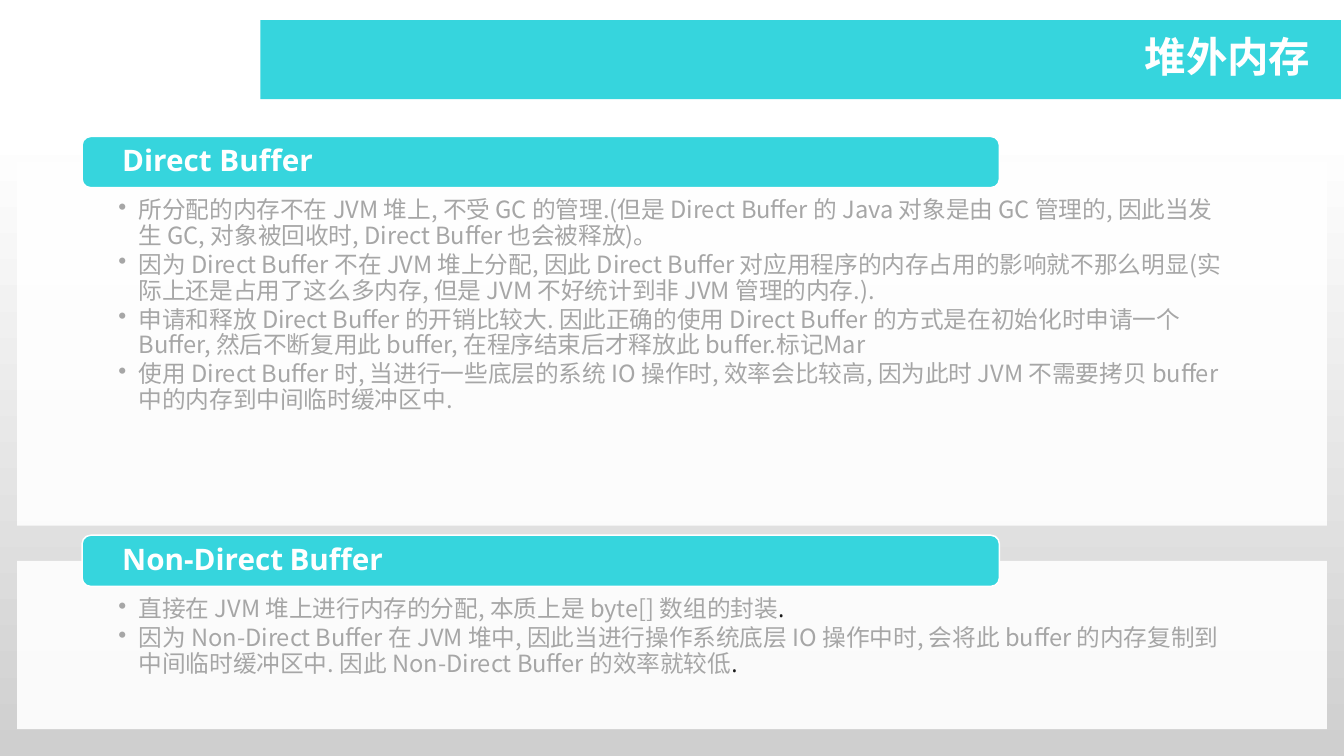
from dataclasses import dataclass

from lxml import etree
from pptx import Presentation, util as u
from pptx.dml.color import RGBColor
from pptx.enum import shapes, text
from pptx.oxml import ns

WHITE = RGBColor(0xFF, 0xFF, 0xFF)
CYAN = RGBColor(0x36, 0xD5, 0xDD)
GREY = RGBColor(0xA6, 0xA6, 0xA6)
DARK = RGBColor(0x1A, 0x1A, 0x1A)
SHADE = RGBColor(0xCF, 0xCF, 0xCF)
SANS, HAN = "Open Sans", "Noto Sans CJK SC"
WIDE, HIGH = u.Inches(12.6), u.Inches(7.09)

HEAD = dict(name=SANS, size=u.Pt(20), bold=True, color=WHITE)
GAP = HEAD | dict(size=u.Pt(16))
BODY = dict(name=HAN, size=u.Pt(16), bold=False, color=GREY)
STOP = BODY | dict(name=SANS, color=DARK)
TITLE = dict(name=HAN, size=u.Pt(28), bold=True, color=WHITE)

Run = tuple[str, dict]


@dataclass
class Box:
    """A place on the slide, in percent of its width and height."""
    left: float
    top: float
    width: float
    height: float

    def frame(self) -> dict:
        return dict(left=across(self.left), top=down(self.top),
                    width=across(self.width), height=down(self.height))


@dataclass
class Part:
    top: float
    height: float
    head: list[Run]
    items: list[list[Run]]


PARTS = [
    Part(21.44, 48.1, [("Direct Buffer", HEAD)], [
        [("所分配的内存不在 JVM 堆上, 不受 GC 的管理.(但是 Direct Buffer 的 Java 对象是由 GC 管理的, "
          "因此当发生 GC, 对象被回收时, Direct Buffer 也会被释放)。", BODY)],
        [("因为 Direct Buffer 不在 JVM 堆上分配, 因此 Direct Buffer 对应用程序的内存占用的影响就不那么明显"
          "(实际上还是占用了这么多内存, 但是 JVM 不好统计到非 JVM 管理的内存.).", BODY)],
        [("申请和释放 Direct Buffer 的开销比较大. 因此正确的使用 Direct Buffer 的方式是在初始化时申请一个 Buffer, "
          "然后不断复用此 buffer, 在程序结束后才释放此 buffer.标记Mar", BODY)],
        [("使用 Direct Buffer 时, 当进行一些底层的系统 IO 操作时, 效率会比较高, 因为此时 JVM 不需要拷贝 buffer "
          "中的内存到中间临时缓冲区中.", BODY)],
    ]),
    Part(74.19, 22.28, [("Non-Direct", HEAD), (" ", GAP), ("Buffer", HEAD)], [
        [("直接在 JVM 堆上进行内存的分配, 本质上是 byte[] 数组的封装", BODY), (".", STOP)],
        [("因为 Non-Direct Buffer 在 JVM 堆中, 因此当进行操作系统底层 IO 操作中时, 会将此 buffer "
          "的内存复制到中间临时缓冲区中. 因此 Non-Direct Buffer 的效率就较低", BODY), (".", STOP)],
    ]),
]


def across(share: float) -> int:
    return round(WIDE * share / 100)


def down(share: float) -> int:
    return round(HIGH * share / 100)


def apply(item, looks: dict) -> None:
    for key, value in looks.items():
        setattr(item, key, value)


def write(para, runs: list[Run]) -> None:
    para.alignment = text.PP_ALIGN.LEFT
    for words, looks in runs:
        run = para.add_run()
        run.text = words
        for key, value in looks.items():
            if key == "color":
                run.font.color.rgb = value
            else:
                setattr(run.font, key, value)
        face = etree.SubElement(run.font._element, ns.qn("a:ea"))
        face.set("typeface", looks["name"])


def bullet(para) -> None:
    props = para._p.get_or_add_pPr()
    props.set("marL", str(u.Inches(0.19)))
    props.set("indent", str(-u.Inches(0.19)))
    etree.SubElement(props, ns.qn("a:buChar")).set("char", "•")


def block(slide, kind, box: Box, fill: RGBColor):
    shape = slide.shapes.add_shape(kind, **box.frame())
    shape.shadow.inherit = False
    shape.fill.solid()
    shape.fill.fore_color.rgb = fill
    shape.line.fill.background()
    return shape


def panel(slide, part: Part) -> None:
    shape = block(slide, shapes.MSO_SHAPE.RECTANGLE,
                  Box(1.27, part.top, 97.46, part.height), WHITE)
    tint = shape.element.find(".//" + ns.qn("a:srgbClr"))
    etree.SubElement(tint, ns.qn("a:alpha")).set("val", "90000")
    frame = shape.text_frame
    apply(frame, dict(word_wrap=True, vertical_anchor=text.MSO_ANCHOR.TOP,
                      margin_left=across(7.54), margin_right=across(7.54),
                      margin_top=down(4.8), margin_bottom=down(1.7)))
    for index, runs in enumerate(part.items):
        para = frame.add_paragraph() if index else frame.paragraphs[0]
        apply(para, dict(line_spacing=0.9, space_after=u.Pt(2.4)))
        bullet(para)
        write(para, runs)


def tab(slide, part: Part) -> None:
    shape = block(slide, shapes.MSO_SHAPE.ROUNDED_RECTANGLE,
                  Box(6.11, part.top - 3.39, 68.25, 6.77), CYAN)
    shape.line.color.rgb = WHITE
    shape.line.width = u.Pt(1)
    frame = shape.text_frame
    apply(frame, dict(word_wrap=True, vertical_anchor=text.MSO_ANCHOR.MIDDLE,
                      margin_left=across(2.8), margin_right=across(2.8),
                      margin_top=0, margin_bottom=0))
    frame.paragraphs[0].line_spacing = 0.9
    write(frame.paragraphs[0], part.head)


def shade(slide) -> None:
    fill = slide.background.fill
    fill.gradient()
    fill.gradient_angle = 270
    for stop, place, color in zip(fill.gradient_stops, (0.17, 1), (WHITE, SHADE)):
        stop.position = place
        stop.color.rgb = color


def banner(slide) -> None:
    block(slide, shapes.MSO_SHAPE.RECTANGLE, Box(19.37, 2.68, 80.4, 10.44), CYAN)
    title = slide.shapes.title
    apply(title, Box(84.37, 3.39, 15.63, 8.04).frame())
    apply(title.text_frame, dict(word_wrap=True, auto_size=text.MSO_AUTO_SIZE.NONE,
                                 vertical_anchor=text.MSO_ANCHOR.TOP))
    write(title.text_frame.paragraphs[0], [("堆外内存", TITLE)])
    title.element.getparent().append(title.element)  # bring above the band


def main() -> None:
    deck = Presentation()
    deck.slide_width, deck.slide_height = WIDE, HIGH
    slide = deck.slides.add_slide(deck.slide_layouts[5])
    shade(slide)
    banner(slide)
    for part in PARTS:
        panel(slide, part)
        tab(slide, part)
    deck.save("out.pptx")


if __name__ == "__main__":
    main()
